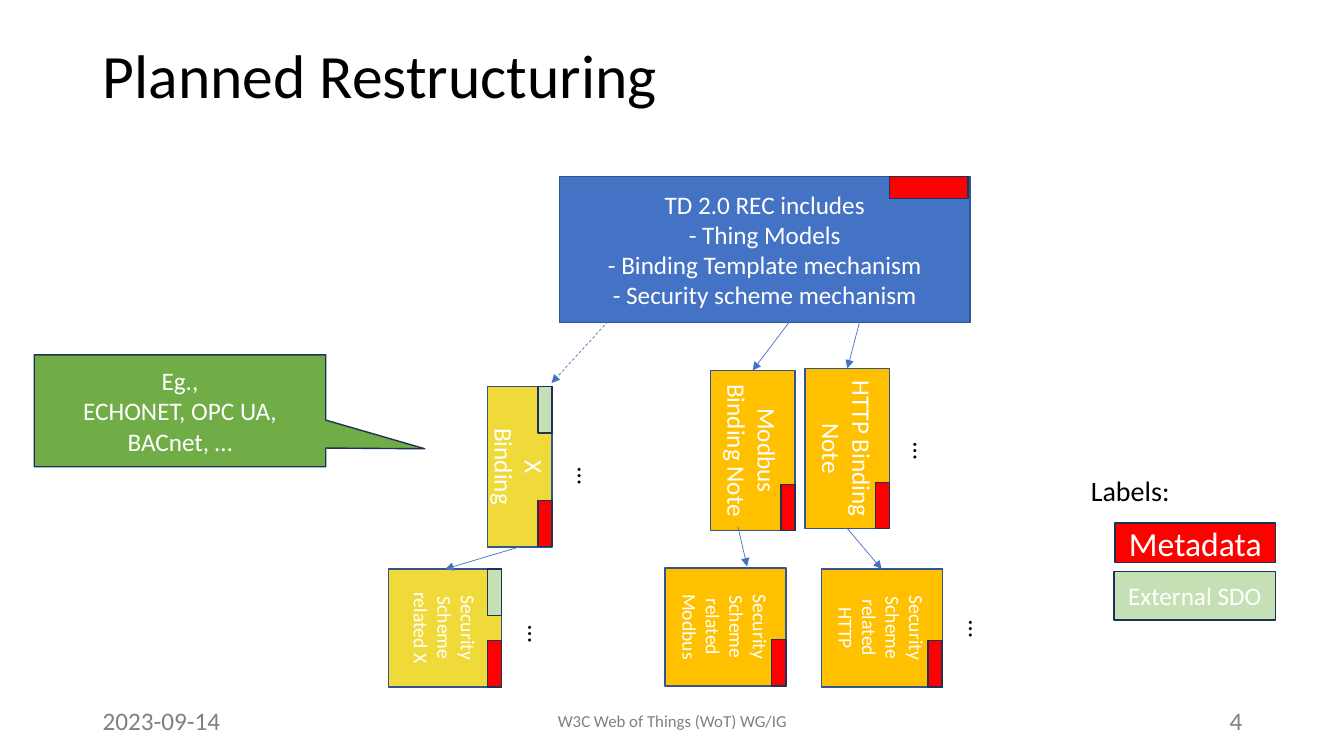
from lxml.etree import SubElement
from pptx import Presentation
from pptx.dml.color import RGBColor
from pptx.enum.dml import MSO_LINE
from pptx.enum.shapes import MSO_CONNECTOR, MSO_SHAPE
from pptx.enum.text import MSO_ANCHOR, MSO_AUTO_SIZE, PP_ALIGN
from pptx.oxml.ns import qn
from pptx.util import Inches, Pt

BLUE = RGBColor(0x44, 0x72, 0xC4)
BLUE_EDGE = RGBColor(0x32, 0x54, 0x91)
NAVY = RGBColor(0x1E, 0x32, 0x56)
RED = RGBColor(0xFF, 0x00, 0x00)
AMBER = RGBColor(0xFF, 0xC0, 0x00)
YELLOW = RGBColor(0xF0, 0xDA, 0x3A)
GREEN = RGBColor(0x70, 0xAD, 0x47)
PALE_GREEN = RGBColor(0xC5, 0xE0, 0xB4)
GRAY = RGBColor(0x80, 0x80, 0x80)
BLACK = RGBColor(0x00, 0x00, 0x00)
WHITE = RGBColor(0xFF, 0xFF, 0xFF)

# Square grid: ten columns or rows to the inch
CELL = Inches(0.1)
TAG_WIDTH, TAG_HEIGHT = 1.4, 4.6

presentation = Presentation()
presentation.slide_width, presentation.slide_height = Inches(13.33), Inches(7.5)
slide = presentation.slides.add_slide(presentation.slide_layouts[5])
shapes = slide.shapes


def write_text(shape, text, size, color, align, anchor=MSO_ANCHOR.MIDDLE):
    """Newlines part paragraphs; vertical tabs part lines."""
    frame = shape.text_frame
    frame.word_wrap = True
    frame.vertical_anchor = anchor
    for number, content in enumerate(text.split("\n")):
        paragraph = frame.add_paragraph() if number else frame.paragraphs[0]
        paragraph.alignment = align
        for position, line in enumerate(content.split("\v")):
            if position:
                paragraph.add_line_break()
            run = paragraph.add_run()
            run.text = line
            run.font.name = "Calibri"
            run.font.size = Pt(size)
            run.font.color.rgb = color


def add_box(left, top, width, height, fill, edge, text="", size=18,
            turned=False, kind=MSO_SHAPE.RECTANGLE):
    """The frame is given as seen; a turned box is rotated to fill it."""
    if turned:
        left, top = left + (width - height) / 2, top + (height - width) / 2
        width, height = height, width
    frame = [int(length * CELL) for length in (left, top, width, height)]
    shape = shapes.add_shape(kind, *frame)
    shape.rotation = 90 if turned else 0
    shape.shadow.inherit = False
    shape.fill.solid()
    shape.fill.fore_color.rgb = fill
    shape.line.color.rgb = edge
    shape.line.width = Pt(1)
    if text:
        write_text(shape, text, size, WHITE, PP_ALIGN.CENTER)
    return shape


# Title
title = shapes.title
title.left, title.top = Inches(0.92), Inches(0.4)
title.width, title.height = Inches(11.5), Inches(1.45)
write_text(title, "Planned Restructuring", 44, BLACK, PP_ALIGN.LEFT, MSO_ANCHOR.TOP)
title.text_frame.auto_size = MSO_AUTO_SIZE.NONE
title.text_frame.paragraphs[0].line_spacing = 0.9

# Footer
for left, width, text, size, align in [
    (9.2, 30, "2023-09-14", 18, PP_ALIGN.LEFT),
    (44.2, 45, "W3C Web of Things (WoT) WG/IG", 12, PP_ALIGN.CENTER),
    (94.2, 30, "4", 18, PP_ALIGN.RIGHT),
]:
    footer = shapes.add_textbox(int(left * CELL), int(69.5 * CELL), width * CELL, 4 * CELL)
    write_text(footer, text, size, GRAY, align)

# Main specification with its metadata tag
add_box(55.5, 17.5, 40.7, 14.5, BLUE, BLUE_EDGE,
        "TD 2.0 REC includes\v- Thing Models\v- Binding Template mechanism\n"
        "- Security scheme mechanism")
add_box(88.2, 17.5, 7.8, 2.2, RED, NAVY)

# Binding notes above, security schemes below; tags sit in the right corners
boxes = {}
for name, left, top, width, height, fill, text, size in [
    ("x note", 48.35, 38.35, 6.4, 15.9, YELLOW, "X\vBinding", 18),
    ("modbus note", 70.45, 36.75, 8.4, 15.9, AMBER, "Modbus\vBinding Note", 18),
    ("http note", 79.85, 36.55, 8.4, 15.9, AMBER, "HTTP Binding\vNote", 18),
    ("x scheme", 38.55, 56.45, 11.2, 11.7, YELLOW, "Security\vScheme related X", 14),
    ("modbus scheme", 65.95, 56.35, 12, 11.7, AMBER, "Security\vScheme related Modbus", 14),
    ("http scheme", 81.45, 56.45, 12, 11.7, AMBER, "Security\vScheme related HTTP", 14),
]:
    boxes[name] = add_box(left, top, width, height, fill, BLUE_EDGE, text, size, turned=True)
    tag_left = left + width - TAG_WIDTH
    add_box(tag_left, top + height - TAG_HEIGHT, TAG_WIDTH, TAG_HEIGHT, RED, NAVY)
    if fill == YELLOW:
        add_box(tag_left, top, TAG_WIDTH, TAG_HEIGHT, PALE_GREEN, NAVY)

# Arrows; on a turned box, side 1 is seen on top and side 3 at the bottom
for start, end, source, target in [
    ((60.3, 31.9), (54.7, 38), None, None),
    ((78.7, 31.4), (74.65, 36.75), None, "modbus note"),
    ((85.4, 31.4), (84.05, 36.55), None, "http note"),
    ((51.55, 54.25), (44.15, 56.45), "x note", "x scheme"),
    ((73.2, 52.3), (74.1, 56.2), None, None),
    ((84.05, 52.45), (87.45, 56.45), "http note", "http scheme"),
]:
    ends = [int(length * CELL) for length in start + end]
    arrow = shapes.add_connector(MSO_CONNECTOR.STRAIGHT, *ends)
    if source:
        arrow.begin_connect(boxes[source], 3)
    if target:
        arrow.end_connect(boxes[target], 1)
    # Joining ignores rotation, so set the visible ends afterwards
    arrow.begin_x, arrow.begin_y, arrow.end_x, arrow.end_y = ends
    arrow.line.color.rgb = BLUE
    arrow.line.width = Pt(0.5)
    if start == (60.3, 31.9):
        arrow.line.dash_style = MSO_LINE.DASH
    SubElement(arrow.line._get_or_add_ln(), qn("a:tailEnd"), type="triangle")
    SubElement(arrow._element.spPr, qn("a:effectLst"))

# Ellipses beside the boxes and the legend heading
for center_x, center_y, width, height, text, size, rotation in [
    (58.3, 47.3, 3.8, 4, "…", 18, 90),
    (91.6, 44.8, 3.8, 4, "…", 18, 90),
    (53.4, 63, 3.8, 4, "…", 18, 90),
    (97.1, 62.5, 3.8, 4, "…", 18, 90),
    (112.15, 48.7, 9.9, 4.4, "Labels:", 20, 0),
]:
    label = shapes.add_textbox(int((center_x - width / 2) * CELL),
                               int((center_y - height / 2) * CELL),
                               int(width * CELL), int(height * CELL))
    label.rotation = rotation
    write_text(label, text, size, BLACK, PP_ALIGN.LEFT, MSO_ANCHOR.TOP)
    label.text_frame.word_wrap = False
    label.text_frame.auto_size = MSO_AUTO_SIZE.SHAPE_TO_FIT_TEXT

# Legend
add_box(110.6, 51.9, 15.9, 3.9, RED, NAVY, "Metadata", 24)
add_box(110.5, 56.7, 16, 4.8, PALE_GREEN, NAVY, "External SDO")

# Callout with protocol examples
callout = add_box(3.4, 35.2, 28.9, 11.1, GREEN, NAVY, "Eg.,\vECHONET, OPC UA, BACnet, …",
                  kind=MSO_SHAPE.RECTANGULAR_CALLOUT)
callout.adjustments[0], callout.adjustments[1] = 0.84, 0.34

presentation.save("out.pptx")
